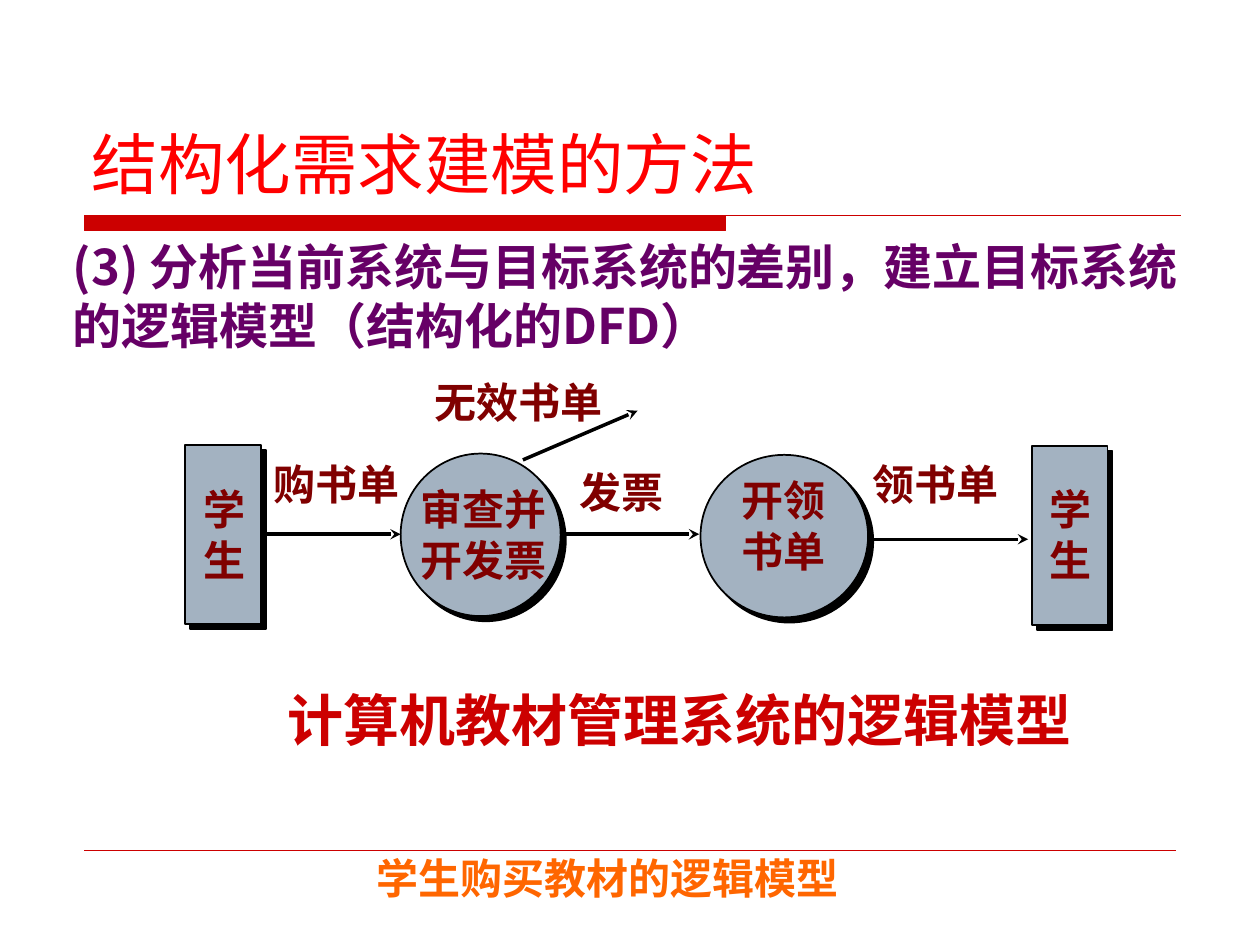
from dataclasses import dataclass

from pptx import Presentation
from pptx import util as u
from pptx.dml.color import RGBColor
from pptx.enum import shapes, text
from pptx.oxml.ns import qn
from lxml import etree

Inches = u.Inches


@dataclass
class Theme:
    font: str = "Noto Sans CJK SC"
    red: str = "CC0000"
    title: str = "FF0000"
    heading: str = "660066"
    label: str = "800000"
    footer: str = "FF6600"
    node: str = "A3B2C1"
    ink: str = "000000"
    title_size: int = 38
    heading_size: int = 28
    caption_size: int = 32
    label_size: int = 24


theme = Theme()
prs = Presentation()
prs.slide_width, prs.slide_height = Inches(10), Inches(7.5)
slide = prs.slides.add_slide(prs.slide_layouts[6])


def add_text(box, lines, size, color, bold=True, wrap=True, anchor=text.MSO_ANCHOR.TOP):
    frame = slide.shapes.add_textbox(*map(Inches, box)).text_frame
    frame.word_wrap = wrap
    frame.vertical_anchor = anchor
    for i, line in enumerate(lines):
        paragraph = frame.paragraphs[0] if i == 0 else frame.add_paragraph()
        run = paragraph.add_run()
        run.text = line
        style = {"name": theme.font, "size": u.Pt(size), "bold": bold}
        for key, value in style.items():
            setattr(run.font, key, value)
        run.font.color.rgb = RGBColor.from_string(color)
        east_asian = etree.SubElement(run.font._element, qn("a:ea"))
        east_asian.set("typeface", theme.font)


def add_line(start, end, color, width, arrow=False):
    line = slide.shapes.add_connector(
        shapes.MSO_CONNECTOR.STRAIGHT, *map(Inches, start + end))
    line.line.color.rgb = RGBColor.from_string(color)
    line.line.width = u.Pt(width)
    if arrow:
        etree.SubElement(line.line._get_or_add_ln(), qn("a:tailEnd"), type="stealth")
    etree.SubElement(line._element.spPr, qn("a:effectLst"))
    return line


# Title rule: thick bar with a thin line running on to the right
left, top, bar_right, bar_bottom, rule_right = map(Inches, (0.67, 1.71, 5.76, 1.83, 9.37))
builder = slide.shapes.build_freeform(left, top)
builder.add_line_segments([(bar_right, top), (bar_right, bar_bottom), (left, bar_bottom)])
builder.move_to(left, top)
builder.add_line_segments([(rule_right, top)], close=False)
title_rule = builder.convert_to_shape()
title_rule.shadow.inherit = False
title_rule.fill.solid()
title_rule.fill.fore_color.rgb = RGBColor.from_string(theme.red)
title_rule.line.color.rgb = RGBColor.from_string(theme.red)
title_rule.line.width = u.Pt(0.75)

# Footer rule
add_line((0.67, 6.75), (9.33, 6.75), theme.red, 0.25)

# Title, heading and captions
add_text((0.63, 0.33, 8.75, 1.33), ["结构化需求建模的方法"], theme.title_size,
         theme.title, bold=False, anchor=text.MSO_ANCHOR.BOTTOM)
add_text((0.48, 1.83, 9.07, 1.04),
         ["(3) 分析当前系统与目标系统的差别，建立目标系统的逻辑模型（结构化的DFD）"],
         theme.heading_size, theme.heading)
add_text((2.89, 6.72, 3.87, 0.5), ["学生购买教材的逻辑模型"],
         theme.label_size, theme.footer, wrap=False)
add_text((2.18, 5.39, 6.43, 0.63), ["计算机教材管理系统的逻辑模型"],
         theme.caption_size, theme.red, wrap=False)

# Entities and processes, each with a hard shadow to the lower right
RECT, OVAL = shapes.MSO_SHAPE.RECTANGLE, shapes.MSO_SHAPE.OVAL
nodes = []
for kind, box in [
    (RECT, (1.47, 3.53, 0.6, 1.42)),
    (OVAL, (3.18, 3.6, 1.27, 1.29)),
    (OVAL, (5.56, 3.61, 1.33, 1.29)),
    (RECT, (8.19, 3.54, 0.6, 1.42)),
]:
    node = slide.shapes.add_shape(kind, *map(Inches, box))
    node.fill.solid()
    node.fill.fore_color.rgb = RGBColor.from_string(theme.node)
    node.line.color.rgb = RGBColor.from_string(theme.ink)
    node.line.width = u.Pt(1)
    node.shadow.inherit = False
    effects = node._element.spPr.find(qn("a:effectLst"))
    shadow = etree.SubElement(effects, qn("a:outerShdw"), blurRad="0",
                              dist=str(u.Pt(4.2)), dir="2700000", algn="ctr", rotWithShape="0")
    etree.SubElement(shadow, qn("a:srgbClr"), val=theme.ink)
    nodes.append(node)
student = nodes[0]

# Data flows
flows = [
    add_line(start, end, theme.ink, 2, arrow=True)
    for start, end in [
        ((2.07, 4.24), (3.18, 4.24)),
        ((4.46, 4.24), (5.55, 4.24)),
        ((6.89, 4.28), (8.16, 4.28)),
        ((4.15, 3.65), (5.06, 3.26)),
    ]
]
flows[0].begin_connect(student, 3)

# Names of nodes and flows
for box, lines, wrap in [
    ((1.52, 3.79, 0.56, 0.9), ["学", "生"], True),
    ((3.24, 3.79, 1.41, 0.9), ["审查并", "开发票"], True),
    ((5.79, 3.72, 0.87, 0.9), ["开领", "书单"], False),
    ((8.23, 3.79, 0.56, 0.9), ["学", "生"], True),
    ((2.07, 3.59, 1.2, 0.5), ["购书单"], False),
    ((4.5, 3.65, 1.05, 0.5), ["发票"], True),
    ((6.83, 3.59, 1.35, 0.5), ["领书单"], True),
    ((3.35, 2.94, 1.78, 0.5), ["无效书单"], True),
]:
    add_text(box, lines, theme.label_size, theme.label, wrap=wrap)

prs.save("out.pptx")
